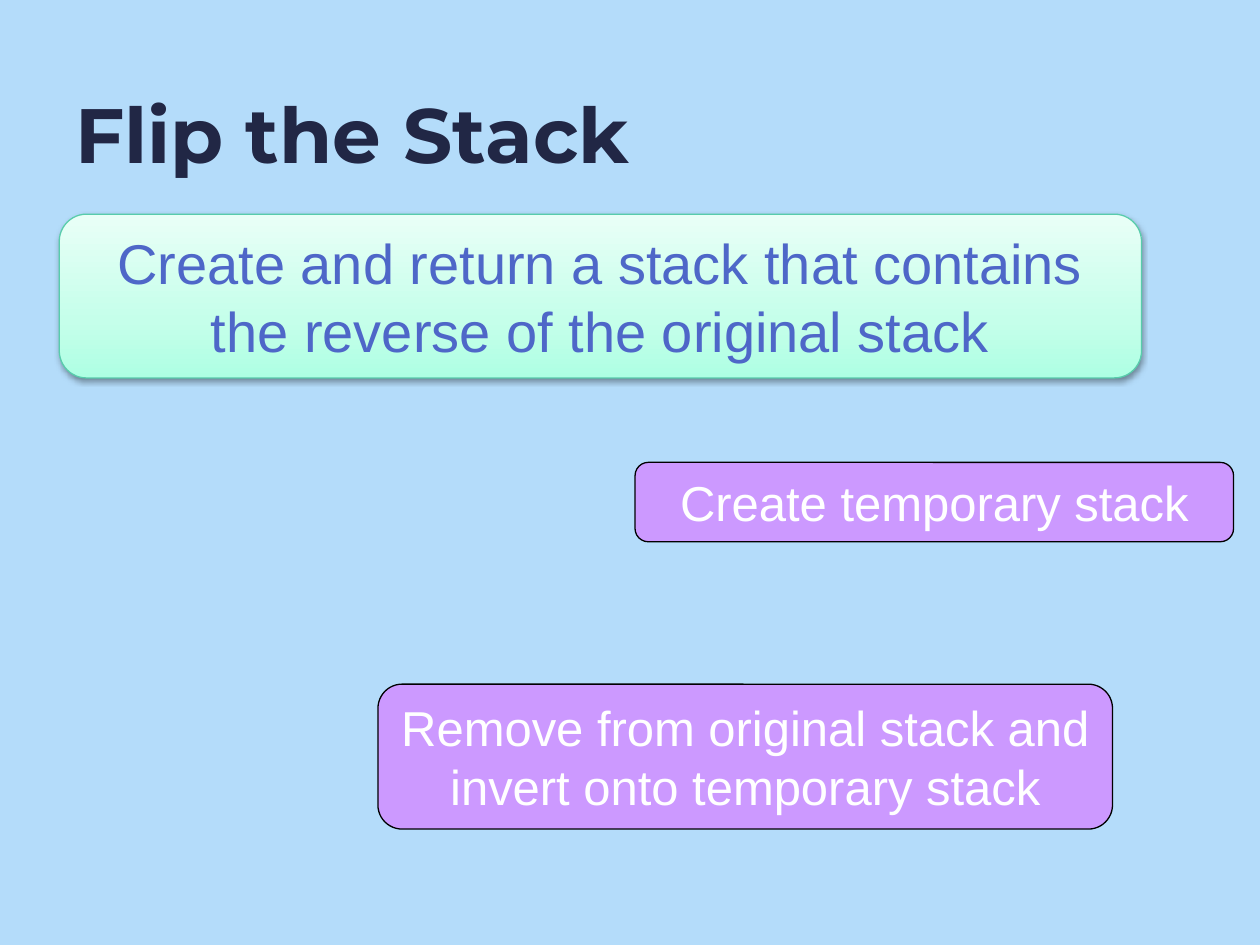
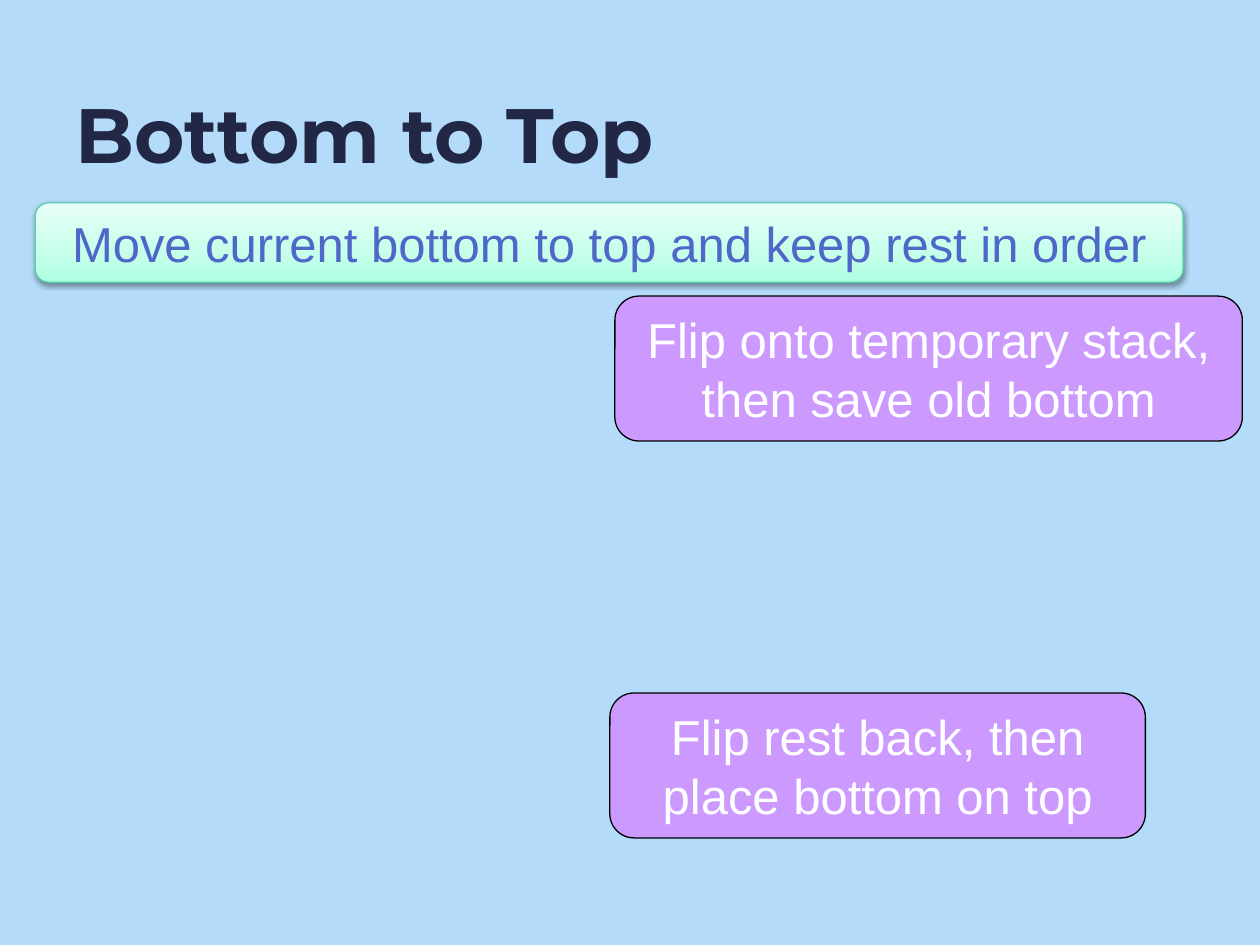
"""Build two slides on reversing and reordering a stack."""
import pptx
import pptx.dml.color
import pptx.enum.shapes
import pptx.enum.text
import pptx.oxml
import pptx.oxml.ns
import pptx.util

Inches = pptx.util.Inches
Pt = pptx.util.Pt
RGBColor = pptx.dml.color.RGBColor

SKY = RGBColor(0xB4, 0xDC, 0xFA)
NAVY = RGBColor(0x21, 0x27, 0x45)
BLUE = RGBColor(0x4E, 0x67, 0xC8)
TEAL = RGBColor(0x58, 0xCC, 0xAC)
LILAC = RGBColor(0xCC, 0x99, 0xFF)
BLACK = RGBColor(0, 0, 0)
WHITE = RGBColor(0xFF, 0xFF, 0xFF)
MINT_DEEP = RGBColor(0xAE, 0xFF, 0xE3)
MINT = RGBColor(0xC5, 0xFF, 0xEA)
MINT_PALE = RGBColor(0xE9, 0xFF, 0xF7)

NAMESPACE = pptx.oxml.ns.nsdecls("a")
MINT_STOPS = "".join(
    f'<a:gs pos="{percent * 1000}"><a:srgbClr val="{color}"/></a:gs>'
    for percent, color in ((0, MINT_DEEP), (35, MINT), (100, MINT_PALE))
)
MINT_GRADIENT = (
    f'<a:gradFill {NAMESPACE} rotWithShape="1"><a:gsLst>{MINT_STOPS}</a:gsLst>'
    '<a:lin ang="16200000" scaled="0"/></a:gradFill>'
)
TASK_SHADOW = (
    f'<a:outerShdw {NAMESPACE} blurRad="{Pt(3.1)}" dist="{Pt(1.6)}" dir="5400000" rotWithShape="0">'
    f'<a:srgbClr val="{BLACK}"><a:alpha val="38000"/></a:srgbClr></a:outerShdw>'
)


def add_box(slide, bounds, wording, size, text_color, line_color):
    box = slide.shapes.add_shape(
        pptx.enum.shapes.MSO_SHAPE.ROUNDED_RECTANGLE, *map(Inches, bounds)
    )
    box.shadow.inherit = False
    box.line.color.rgb = line_color
    box.line.width = Pt(0.75)
    frame = box.text_frame
    frame.word_wrap = True
    frame.vertical_anchor = pptx.enum.text.MSO_ANCHOR.MIDDLE
    frame.text = wording
    paragraph = frame.paragraphs[0]
    paragraph.alignment = pptx.enum.text.PP_ALIGN.CENTER
    paragraph.font.name = "Arial"
    paragraph.font.size = Pt(size)
    paragraph.font.color.rgb = text_color
    return box


lessons = [
    (
        "Flip the Stack",
        ((0.47, 1.7, 8.59, 1.3), "Create and return a stack that contains the reverse of the original stack", 32),
        [
            ((5.04, 3.67, 4.75, 0.63), "Create temporary stack"),
            ((3, 5.43, 5.83, 1.15), "Remove from original stack and invert onto temporary stack"),
        ],
    ),
    (
        "Bottom to Top",
        ((0.28, 1.61, 9.11, 0.63), "Move current bottom to top and keep rest in order", 28),
        [
            ((4.88, 2.35, 4.98, 1.15), "Flip onto temporary stack, then save old bottom"),
            ((4.84, 5.5, 4.25, 1.15), "Flip rest back, then place bottom on top"),
        ],
    ),
]

deck = pptx.Presentation()
deck.slide_width = Inches(10)
deck.slide_height = Inches(7.5)

for heading, (task_bounds, task_wording, task_size), steps in lessons:
    slide = deck.slides.add_slide(deck.slide_layouts[6])
    slide.background.fill.solid()
    slide.background.fill.fore_color.rgb = SKY

    title = slide.shapes.add_textbox(Inches(0.5), Inches(0.27), Inches(9.17), Inches(1.57))
    title.text_frame.word_wrap = True
    title.text_frame.vertical_anchor = pptx.enum.text.MSO_ANCHOR.MIDDLE
    title.text_frame.text = heading
    title_font = title.text_frame.paragraphs[0].font
    title_font.name = "Montserrat"
    title_font.size = Pt(44)
    title_font.bold = True
    title_font.color.rgb = NAVY

    task = add_box(slide, task_bounds, task_wording, task_size, BLUE, TEAL)
    task_properties = task.element.spPr
    outline = task_properties.find(pptx.oxml.ns.qn("a:ln"))
    outline.addprevious(pptx.oxml.parse_xml(MINT_GRADIENT))
    effects = task_properties.find(pptx.oxml.ns.qn("a:effectLst"))
    effects.append(pptx.oxml.parse_xml(TASK_SHADOW))

    for step_bounds, step_wording in steps:
        step = add_box(slide, step_bounds, step_wording, 28, WHITE, BLACK)
        step.fill.solid()
        step.fill.fore_color.rgb = LILAC

deck.save("out.pptx")
